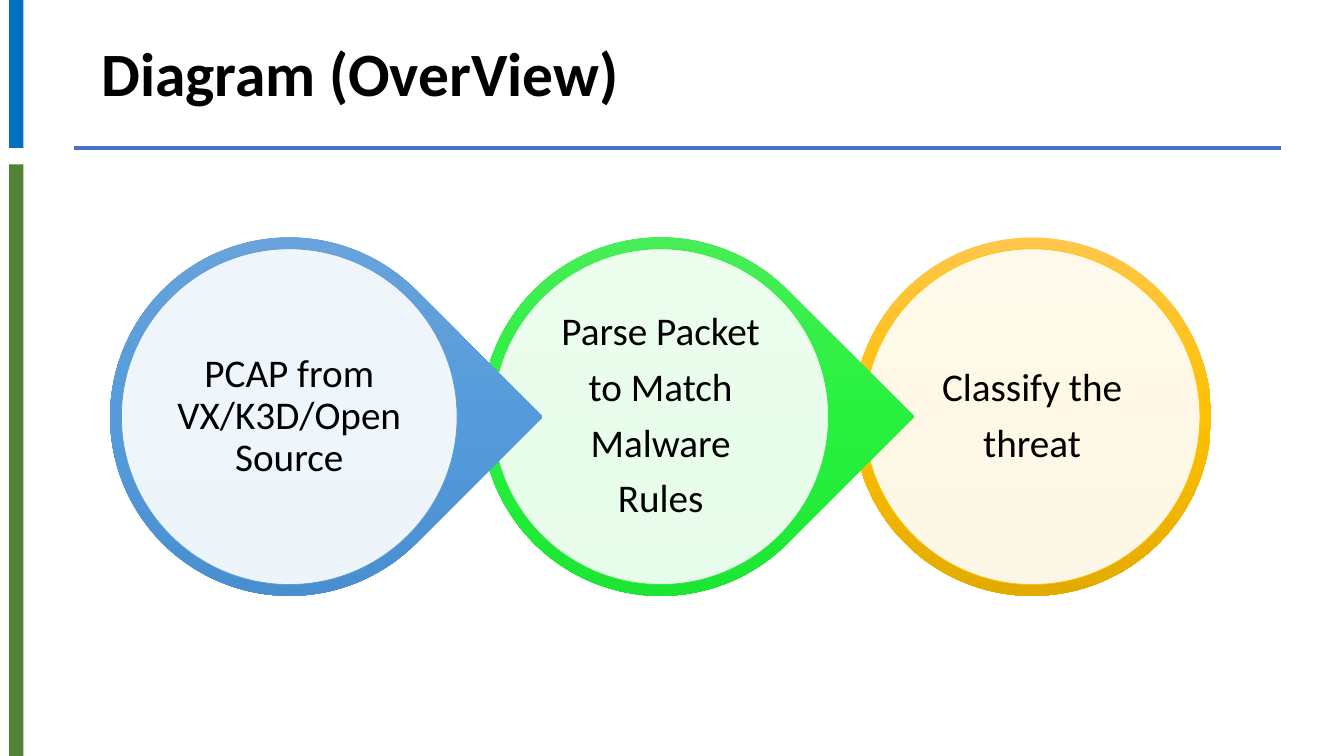
from dataclasses import dataclass

from lxml import etree
from pptx import Presentation
from pptx.dml.color import RGBColor
from pptx.enum.shapes import MSO_CONNECTOR as Connector, MSO_SHAPE as Preset
from pptx.enum.text import MSO_ANCHOR as Anchor, PP_ALIGN as Align
from pptx.oxml import parse_xml
from pptx.oxml.ns import nsdecls, qn
from pptx.util import Cm, Pt

# Content
TITLE = "Diagram (OverView)"
STAGES = [
    {"lines": ["PCAP from VX/K3D/Open Source"], "outline": "5B9BD5",
     "gradient": ("71A6DB", "559BDB", "448ACA")},
    {"lines": ["Parse Packet", "to Match", "Malware", "Rules"], "outline": "30E845",
     "gradient": ("56EC62", "27F13E", "18E02F")},
    {"lines": ["Classify the", "threat"], "outline": "FFC000",
     "gradient": ("FFC64B", "FFC000", "E3AB00")},
]


@dataclass(frozen=True)
class Theme:
    font: str = "Calibri"
    ink: str = "000000"
    disc: str = "FFFFFF"
    blue: str = "0070C0"
    green: str = "548235"
    rule: str = "4472C4"
    title_size: int = 44
    stage_size: int = 28


THEME = Theme()

# Stage geometry in centimetres
FIRST_CENTRE, STAGE_PITCH, CENTRE_Y = 7.29, 9.36, 10.5
RING, DISC, LABEL = 9.03, 8.46, 6.05


def add_preset(page, preset, left, top, width, height):
    shape = page.shapes.add_shape(preset, Cm(left), Cm(top), Cm(width), Cm(height))
    shape.shadow.inherit = False
    shape.line.fill.background()
    return shape


def add_round(page, preset, centre, size):
    return add_preset(page, preset, centre - size / 2, CENTRE_Y - size / 2, size, size)


def fill_solid(shape, colour):
    shape.fill.solid()
    shape.fill.fore_color.rgb = RGBColor.from_string(colour)


def fill_gradient(shape, colours):
    stops = "".join(
        f'<a:gs pos="{index * 50000}"><a:srgbClr val="{colour}"/></a:gs>'
        for index, colour in enumerate(colours))
    gradient = parse_xml(
        f'<a:gradFill {nsdecls("a")} rotWithShape="0"><a:gsLst>{stops}</a:gsLst>'
        '<a:lin ang="5400000" scaled="0"/></a:gradFill>')
    shape.element.spPr.find(qn("a:prstGeom")).addnext(gradient)


def add_text(page, area, lines, size, bold=False, inset=None, align=Align.LEFT, after=0):
    frame = page.shapes.add_textbox(*map(Cm, area)).text_frame
    frame.word_wrap = True
    frame.vertical_anchor = Anchor.MIDDLE
    if inset is not None:
        frame.margin_left = frame.margin_right = Cm(inset)
        frame.margin_top = frame.margin_bottom = Cm(inset)
    for index, line in enumerate(lines):
        para = frame.add_paragraph() if index else frame.paragraphs[0]
        para.alignment = align
        para.line_spacing = 0.9
        para.space_after = Pt(after)
        span = para.add_run()
        span.text = line
        span.font.name = THEME.font
        span.font.size = Pt(size)
        span.font.bold = bold
        span.font.color.rgb = RGBColor.from_string(THEME.ink)


def add_stage(page, position, stage):
    centre = FIRST_CENTRE + position * STAGE_PITCH
    is_last = position == len(STAGES) - 1

    ring = add_round(page, Preset.OVAL if is_last else Preset.TEAR, centre, RING)
    fill_gradient(ring, stage["gradient"])
    if not is_last:
        ring.rotation = 45

    disc = add_round(page, Preset.OVAL, centre, DISC)
    fill_solid(disc, THEME.disc)
    tint = disc.element.spPr.find(qn("a:solidFill"))[0]
    etree.SubElement(tint, qn("a:alpha")).set("val", "90000")
    disc.line.color.rgb = RGBColor.from_string(stage["outline"])
    disc.line.width = Pt(0.5)

    area = (centre - LABEL / 2, CENTRE_Y - LABEL / 2, LABEL, LABEL)
    add_text(page, area, stage["lines"], THEME.stage_size,
             inset=0.1, align=Align.CENTER, after=9.5)


def main():
    deck = Presentation()
    deck.slide_width, deck.slide_height = Cm(33.87), Cm(19.05)
    page = deck.slides.add_slide(deck.slide_layouts[6])

    # Title
    add_text(page, (2.31, 0.36, 29.21, 3.12), [TITLE], THEME.title_size, bold=True)

    # Side bars
    for top, height, colour in ((-0.05, 3.78, THEME.blue), (4.14, 14.94, THEME.green)):
        fill_solid(add_preset(page, Preset.RECTANGLE, 0.23, top, 0.36, height), colour)

    # Rule under the title
    rule = page.shapes.add_connector(Connector.STRAIGHT, Cm(1.86), Cm(3.73), Cm(32.28), Cm(3.73))
    rule.line.color.rgb = RGBColor.from_string(THEME.rule)
    rule.line.width = Pt(3)
    etree.SubElement(rule.element.spPr, qn("a:effectLst"))

    # Stages from right to left, so each tip overlaps the next ring
    for position, stage in reversed(list(enumerate(STAGES))):
        add_stage(page, position, stage)

    deck.save("out.pptx")


if __name__ == "__main__":
    main()
